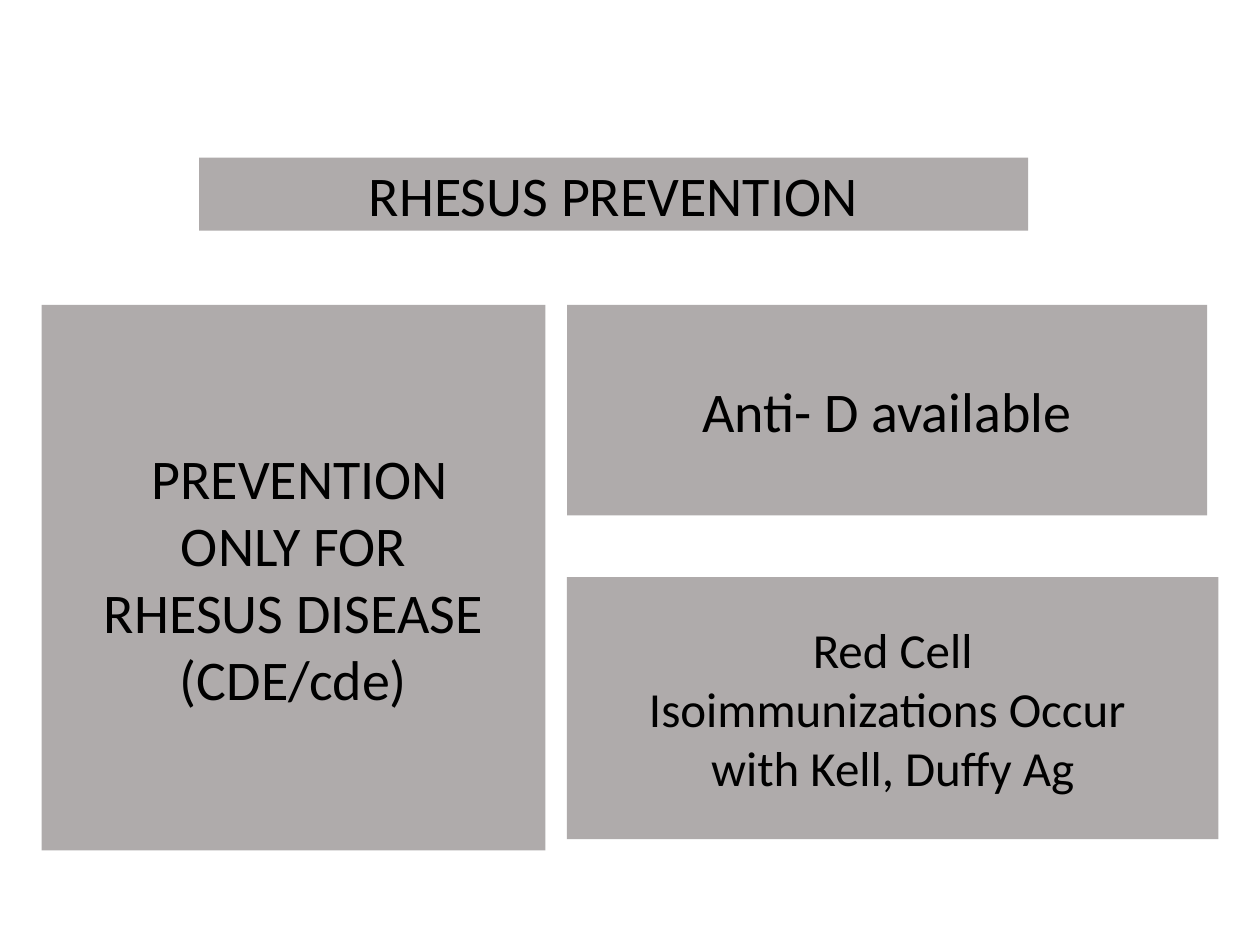
from dataclasses import dataclass

from pptx import Presentation
from pptx.dml.color import RGBColor
from pptx.enum.shapes import MSO_SHAPE
from pptx.enum.text import MSO_ANCHOR, MSO_AUTO_SIZE, PP_ALIGN
from pptx.util import Inches, Pt


@dataclass(frozen=True)
class Theme:
    font: str = "Calibri"
    panel: RGBColor = RGBColor(0xAF, 0xAB, 0xAB)
    text: RGBColor = RGBColor(0, 0, 0)
    large: int = 32
    medium: int = 28


THEME = Theme()


def write_text(tf, lines, size=THEME.large, color=THEME.text, align=PP_ALIGN.CENTER):
    tf.auto_size = MSO_AUTO_SIZE.NONE
    tf.word_wrap = False
    tf.vertical_anchor = MSO_ANCHOR.MIDDLE
    tf.margin_left = tf.margin_right = Inches(0.1)
    tf.margin_top = tf.margin_bottom = Inches(0.05)
    for i, line in enumerate(lines):
        p = tf.paragraphs[0] if i == 0 else tf.add_paragraph()
        p.alignment = align
        r = p.add_run()
        r.text = line
        r.font.name = THEME.font
        r.font.size = Pt(size)
        r.font.color.rgb = color


def fill_panel(sp):
    sp.fill.solid()
    sp.fill.fore_color.rgb = THEME.panel
    sp.line.fill.background()


def set_title(s, text, left, top, width, height):
    sp = s.shapes.title
    sp.left, sp.top = Inches(left), Inches(top)
    sp.width, sp.height = Inches(width), Inches(height)
    fill_panel(sp)
    write_text(sp.text_frame, [text])


def add_panel(s, lines, left, top, width, height, size=THEME.large):
    sp = s.shapes.add_shape(
        MSO_SHAPE.RECTANGLE, Inches(left), Inches(top), Inches(width), Inches(height)
    )
    sp.shadow.inherit = False
    fill_panel(sp)
    write_text(sp.text_frame, lines, size=size)


def main():
    prs = Presentation()
    prs.slide_width, prs.slide_height = Inches(10), Inches(7.5)
    s = prs.slides.add_slide(prs.slide_layouts[5])

    set_title(s, "RHESUS PREVENTION", 1.58, 1.25, 6.58, 0.58)

    top, right_col = 2.42, 4.5
    prevention = [" PREVENTION", "ONLY FOR", "RHESUS DISEASE", "(CDE/cde)"]
    red_cell = ["Red Cell", "Isoimmunizations Occur ", "with Kell, Duffy Ag"]
    add_panel(s, prevention, 0.33, top, 4, 4.33)
    add_panel(s, [" Anti- D available "], right_col, top, 5.08, 1.67)
    add_panel(s, red_cell, right_col, 4.58, 5.17, 2.08, size=THEME.medium)

    prs.save("out.pptx")


if __name__ == "__main__":
    main()
